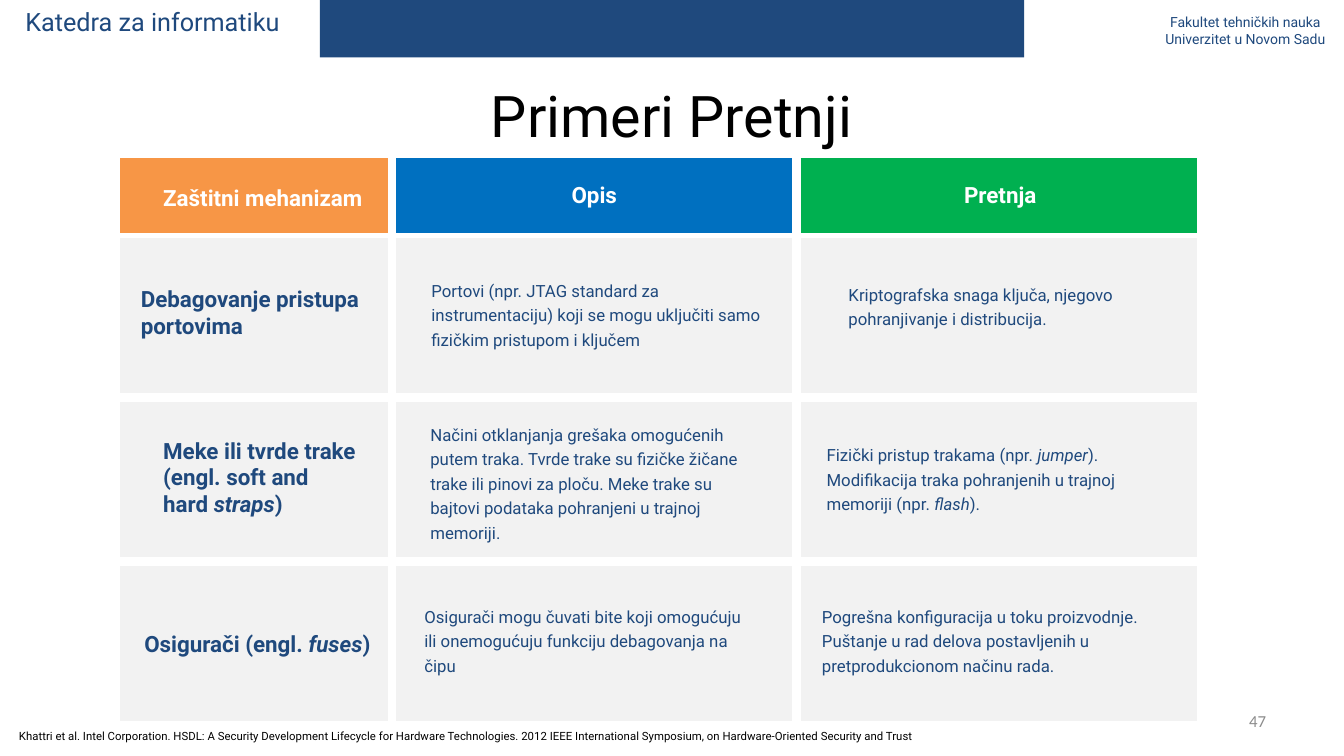
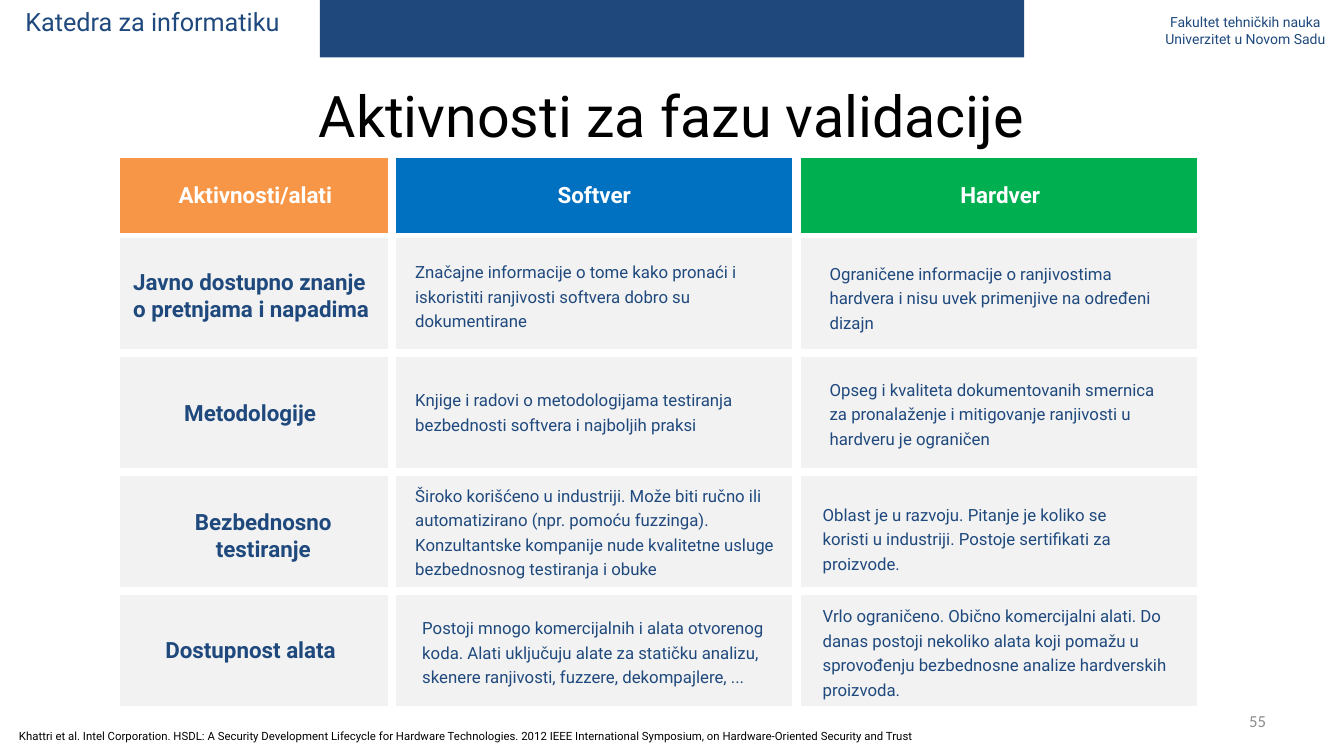
from pptx import Presentation
from pptx.dml.color import RGBColor
from pptx.enum.shapes import MSO_SHAPE
from pptx.enum.text import MSO_ANCHOR, PP_ALIGN
from pptx.util import Pt

COLORS = {
    "navy": "1F497D", "orange": "F79646", "blue": "0070C0", "green": "00B050",
    "cell": "F2F2F2", "white": "FFFFFF", "black": "000000", "gray": "8C8C8C",
}
COLUMNS = [(84, 195, "orange"), (281.5, 286, "blue"), (570.5, 286, "green")]
HEADER_TOP, HEADER_HEIGHT, ROWS_TOP = 111.5, 56.5, 168.5
SOURCE = ("Khattri et al. Intel Corporation. HSDL: A Security Development Lifecycle "
          "for Hardware Technologies. 2012 IEEE International Symposium, on "
          "Hardware-Oriented Security and Trust")
LEFT, CENTER, RIGHT = PP_ALIGN.LEFT, PP_ALIGN.CENTER, PP_ALIGN.RIGHT


class Deck:
    def __init__(self):
        self.prs = Presentation()
        self.prs.slide_width, self.prs.slide_height = Pt(960), Pt(540)
        self.s = None

    def rect(self, x, y, w, h, fill, line=None):
        sp = self.s.shapes.add_shape(MSO_SHAPE.RECTANGLE, Pt(x), Pt(y), Pt(w), Pt(h))
        sp.shadow.inherit = False
        sp.fill.solid()
        sp.fill.fore_color.rgb = RGBColor.from_string(COLORS[fill])
        if line:
            sp.line.color.rgb = RGBColor.from_string(COLORS[line])
            sp.line.width = Pt(3)
        else:
            sp.line.fill.background()

    def text(self, x, y, w, h, text, size, color="navy", bold=False, align=LEFT,
             anchor=MSO_ANCHOR.MIDDLE, spacing=None, margins=(7.2, 3.6), font="Roboto"):
        """Add a text box; newlines part paragraphs and asterisks enclose italics."""
        tf = self.s.shapes.add_textbox(Pt(x), Pt(y), Pt(w), Pt(h)).text_frame
        tf.word_wrap = True
        tf.vertical_anchor = anchor
        tf.margin_left = tf.margin_right = Pt(margins[0])
        tf.margin_top = tf.margin_bottom = Pt(margins[1])
        for i, line in enumerate(text.split("\n")):
            p = tf.add_paragraph() if i else tf.paragraphs[0]
            p.alignment = align
            p.line_spacing = spacing
            p.font.name, p.font.size, p.font.bold = font, Pt(size), bold
            p.font.color.rgb = RGBColor.from_string(COLORS[color])
            for k, part in enumerate(line.split("*")):
                r = p.add_run()
                r.text = part
                if k % 2:
                    r.font.italic = True
        return tf

    def label(self, x, y, w, lines, text, color="navy", align=LEFT):
        self.text(x, y, w, 7.2 + 19.4 * lines, text, 16, color, True, align)

    def body(self, x, y, w, lines, text):
        self.text(x, y, w, 4.3 + 17.5 * lines, text, 12,
                  spacing=Pt(17.5), margins=(3.6, 2.2))

    def source(self):
        tf = self.text(6.5, 515.5, 772.5, 24.5, SOURCE, 14, "black",
                       anchor=MSO_ANCHOR.TOP)
        tf.word_wrap = False
        tf.paragraphs[0].runs[0].font._element.set("baseline", "30000")

    def slide(self, title, number):
        """Start a slide with the parts that all slides share."""
        self.s = self.prs.slides.add_slide(self.prs.slide_layouts[6])
        self.text(823, 6, 133, 31.5, "Fakultet tehničkih nauka\nUniverzitet u Novom Sadu",
                  10, align=CENTER, anchor=MSO_ANCHOR.TOP)
        self.rect(228.5, -1.5, 503, 42.5, "navy")
        self.text(11, 0.7, 231, 29, "Katedra za informatiku", 18, anchor=MSO_ANCHOR.TOP)
        self.text(48, 58.5, 864, 53, title, 41, "black", align=CENTER, spacing=0.9)
        self.source()
        self.text(855.5, 500.5, 56, 29, number, 12, "gray", align=RIGHT, font="Calibri")

    def grid(self, headers, pitch, height, rows):
        """Draw the header tiles and the rows; a row is a label and two bodies."""
        for (x, w, fill), header in zip(COLUMNS, headers):
            self.rect(x, HEADER_TOP, w, HEADER_HEIGHT, fill, "white")
            self.label(*header[:3], 1, header[3], "white", header[4])
        for i, (label, *bodies) in enumerate(rows):
            for x, w, _ in COLUMNS:
                self.rect(x, ROWS_TOP + i * pitch, w, height, "cell", "white")
            self.label(*label)
            for body in bodies:
                self.body(*body)


def main():
    deck = Deck()

    deck.slide("Primeri Pretnji", "47")
    deck.grid(
        [(109.5, 127.5, 170, "Zaštitni mehanizam", LEFT),
         (338.5, 126, 172, "Opis", CENTER),
         (628.5, 126, 172, "Pretnja", CENTER)],
        117.2, 113.5,
        [((93.5, 200, 195, 2, "Debagovanje pristupa portovima"),
          (304.5, 195, 250.5, 3, "Portovi (npr. JTAG standard za instrumentaciju) koji se "
           "mogu uključiti samo fizičkim pristupom i ključem"),
          (602.5, 198, 224, 2, "Kriptografska snaga ključa, njegovo pohranjivanje i "
           "distribucija.")),
         ((109.5, 308, 152.5, 3, "Meke ili tvrde trake (engl. soft and hard *straps*)"),
          (303.8, 298, 233.5, 5, "Načini otklanjanja grešaka omogućenih putem traka. Tvrde "
           "trake su fizičke žičane trake ili pinovi za ploču. Meke trake su bajtovi "
           "podataka pohranjeni u trajnoj memoriji."),
          (586.8, 312.5, 255.5, 3, "Fizički pristup trakama (npr. *jumper*). Modifikacija "
           "traka pohranjenih u trajnoj memoriji (npr. *flash*).")),
         ((96, 446.5, 200, 1, "Osigurači (engl. *fuses*)"),
          (299.5, 428, 238.5, 3, "Osigurači mogu čuvati bite koji omogućuju ili "
           "onemogućuju funkciju debagovanja na čipu"),
          (583.5, 428, 262, 3, "Pogrešna konfiguracija u toku proizvodnje. Puštanje u rad "
           "delova postavljenih u pretprodukcionom načinu rada."))])

    deck.slide("Aktivnosti za fazu validacije", "55")
    deck.grid(
        [(120.5, 126, 150, "Aktivnosti/alati", LEFT),
         (338.5, 125.5, 172, "Softver", CENTER),
         (628.5, 125.5, 172, "Hardver", CENTER)],
        85, 82,
        [((88, 188, 190, 2, "Javno dostupno znanje\no pretnjama i napadima"),
          (293, 182, 263, 3, "Značajne informacije o tome kako pronaći i iskoristiti "
           "ranjivosti softvera dobro su dokumentirane"),
          (589, 183, 247, 3, "Ograničene informacije o ranjivostima hardvera i nisu uvek "
           "primenjive na određeni dizajn")),
         ((124.5, 281.5, 148.5, 1, "Metodologije"),
          (293, 273.5, 250.5, 2, "Knjige i radovi o metodologijama testiranja bezbednosti "
           "softvera i najboljih praksi"),
          (589, 265.7, 248.5, 3, "Opseg i kvaliteta dokumentovanih smernica za "
           "pronalaženje i mitigovanje ranjivosti u hardveru je ograničen")),
         ((113.8, 359.3, 148.5, 2, "Bezbednosno testiranje", "navy", CENTER),
          (293, 341.5, 286, 4, "Široko korišćeno u industriji. Može biti ručno ili "
           "automatizirano (npr. pomoću fuzzinga). Konzultantske kompanije nude "
           "kvalitetne usluge bezbednosnog testiranja i obuke"),
          (584, 355, 245, 3, "Oblast je u razvoju. Pitanje je koliko se koristi u "
           "industriji. Postoje sertifikati za proizvode.")),
         ((111, 450.7, 148.5, 1, "Dostupnost alata"),
          (298, 436.3, 273, 3, "Postoji mnogo komercijalnih i alata otvorenog koda. Alati "
           "uključuju alate za statičku analizu, skenere ranjivosti, fuzzere, "
           "dekompajlere, ..."),
          (584, 427.5, 265.7, 4, "Vrlo ograničeno. Obično komercijalni alati. Do danas "
           "postoji nekoliko alata koji pomažu u sprovođenju bezbednosne analize "
           "hardverskih proizvoda."))])

    deck.prs.save("out.pptx")


if __name__ == "__main__":
    main()
